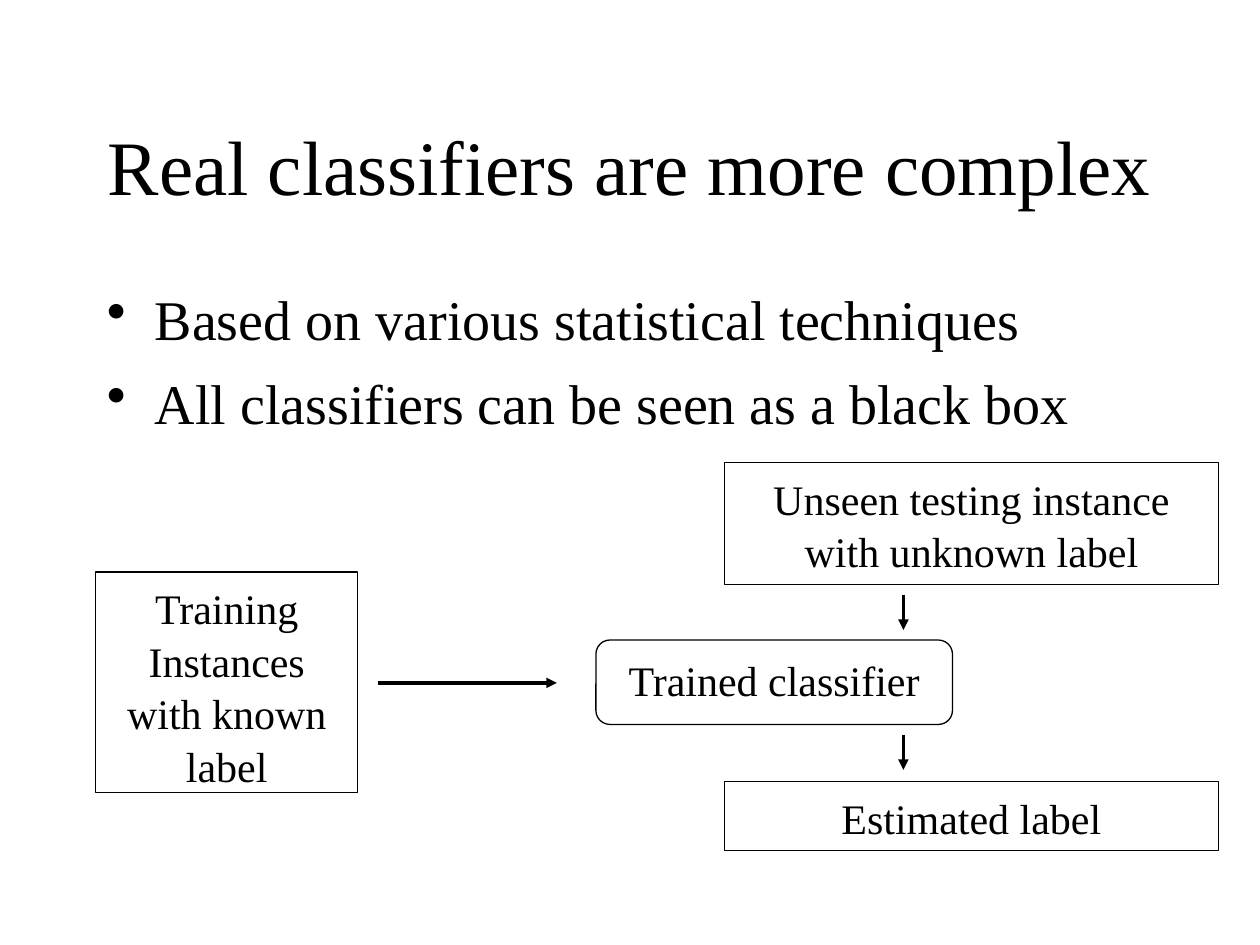
from lxml import etree
from pptx import Presentation
from pptx.dml.color import RGBColor
from pptx.enum.shapes import MSO_CONNECTOR as CON, MSO_SHAPE as SHAPE
from pptx.enum.text import MSO_ANCHOR as ANCHOR, PP_ALIGN as ALIGN
from pptx.oxml.ns import qn
from pptx.util import Inches, Pt


class Deck:
    """Draws the elements of a black-and-white classifier slide."""

    colors = {"ink": "000000", "paper": "FFFFFF"}
    font = "Times New Roman"
    spacing = 1.04

    def __init__(self, prs):
        self.s = prs.slides.add_slide(prs.slide_layouts[6])
        fill = self.s.background.fill
        fill.solid()
        fill.fore_color.rgb = self.color("paper")

    def color(self, name):
        return RGBColor.from_string(self.colors[name])

    def fill_text(self, sp, lines, size, align, anchor=ANCHOR.TOP, top=0.07):
        tf = sp.text_frame
        frame = {"word_wrap": True, "vertical_anchor": anchor,
                 "margin_left": Inches(0.1), "margin_right": Inches(0.1),
                 "margin_top": Inches(top), "margin_bottom": Inches(0.05)}
        for name, value in frame.items():
            setattr(tf, name, value)
        for i, line in enumerate(lines):
            p = tf.paragraphs[0] if i == 0 else tf.add_paragraph()
            p.alignment, p.line_spacing = align, self.spacing
            r = p.add_run()
            r.text = line
            for name, value in {"name": self.font, "size": Pt(size)}.items():
                setattr(r.font, name, value)
            r.font.color.rgb = self.color("ink")
        return tf.paragraphs

    def text(self, at, lines, size, align, **options):
        sp = self.s.shapes.add_textbox(*map(Inches, at))
        return self.fill_text(sp, lines, size, align, **options)

    def bullets(self, at, lines, size):
        for i, p in enumerate(self.text(at, lines, size, ALIGN.LEFT)):
            p.space_before = Pt(8 if i else 0)
            pPr = p._p.get_or_add_pPr()
            pPr.set("marL", str(Inches(0.38)))
            pPr.set("indent", str(-Inches(0.38)))
            etree.SubElement(pPr, qn("a:buChar")).set("char", "•")

    def box(self, at, label, kind=SHAPE.RECTANGLE):
        sp = self.s.shapes.add_shape(kind, *map(Inches, at))
        sp.shadow.inherit = False
        sp.fill.background()
        self.outline(sp)
        self.fill_text(sp, [label], 24, ALIGN.CENTER)

    def arrow(self, *ends):
        line = self.s.shapes.add_connector(CON.STRAIGHT, *map(Inches, ends))
        self.outline(line)
        etree.SubElement(line.line._get_or_add_ln(), qn("a:tailEnd")).set("type", "triangle")
        etree.SubElement(line._element.spPr, qn("a:effectLst"))

    def outline(self, sp):
        sp.line.color.rgb = self.color("ink")
        sp.line.width = Pt(0)


prs = Presentation()
prs.slide_width, prs.slide_height = Inches(10), Inches(7.5)
deck = Deck(prs)

deck.text((0.75, 0.67, 8.5, 1.25), ["Real classifiers are more complex"], 44,
          ALIGN.CENTER, anchor=ANCHOR.MIDDLE, top=0.05)
deck.bullets((0.75, 2.17, 8.5, 4.5),
             ["Based on various statistical techniques",
              "All classifiers can be seen as a black box"], 32)

deck.box((0.76, 4.54, 2.08, 1.75), "Training Instances with known label")
deck.arrow(3, 5.42, 4.42, 5.42)
deck.box((4.73, 5.08, 2.83, 0.67), "Trained classifier", SHAPE.ROUNDED_RECTANGLE)
for top, height, label in ((3.67, 0.97, "Unseen testing instance with unknown label"),
                           (6.2, 0.55, "Estimated label")):
    deck.box((5.75, top, 3.92, height), label)
for top in (4.72, 5.83):
    deck.arrow(7.17, top, 7.17, top + 0.28)

prs.save("out.pptx")
